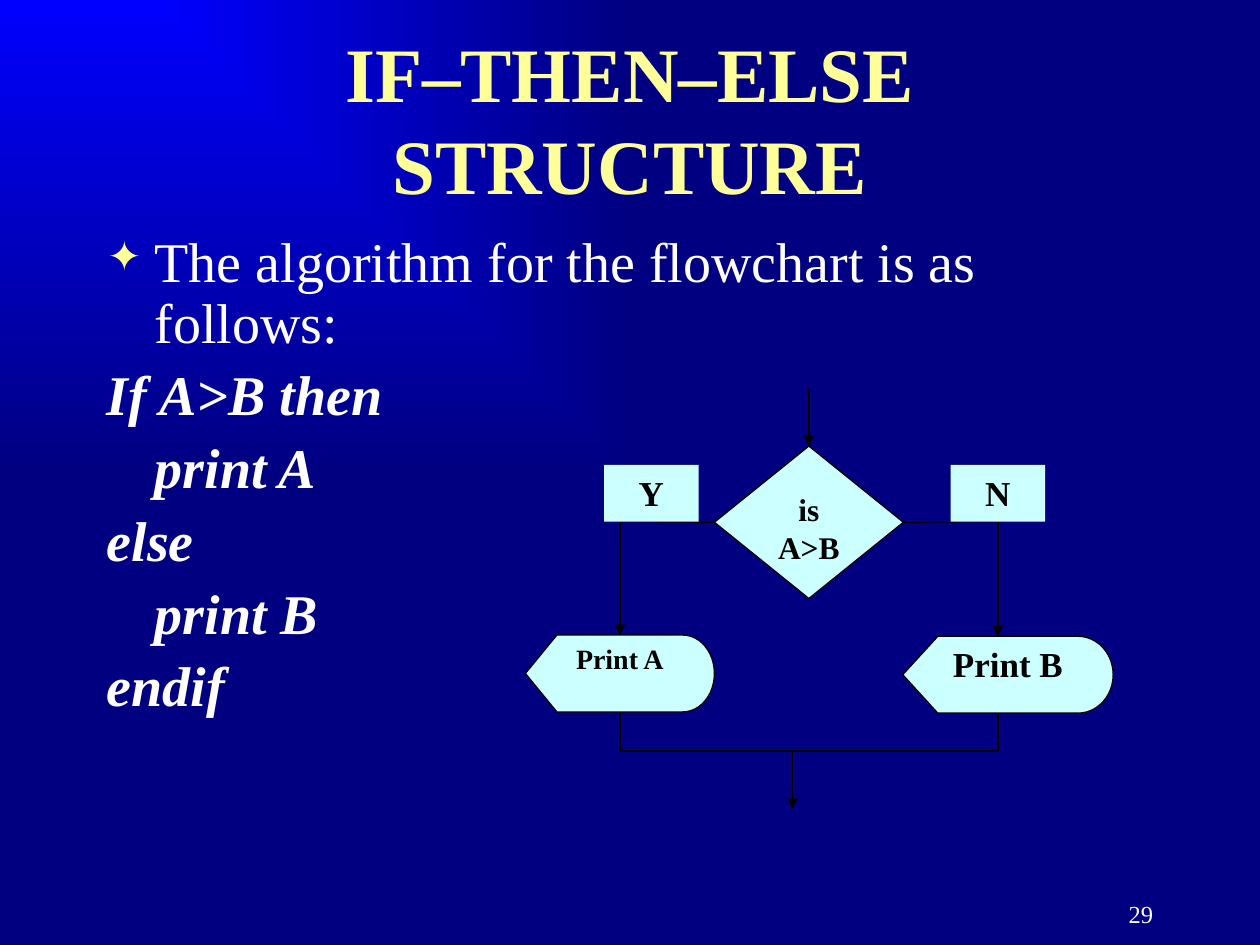
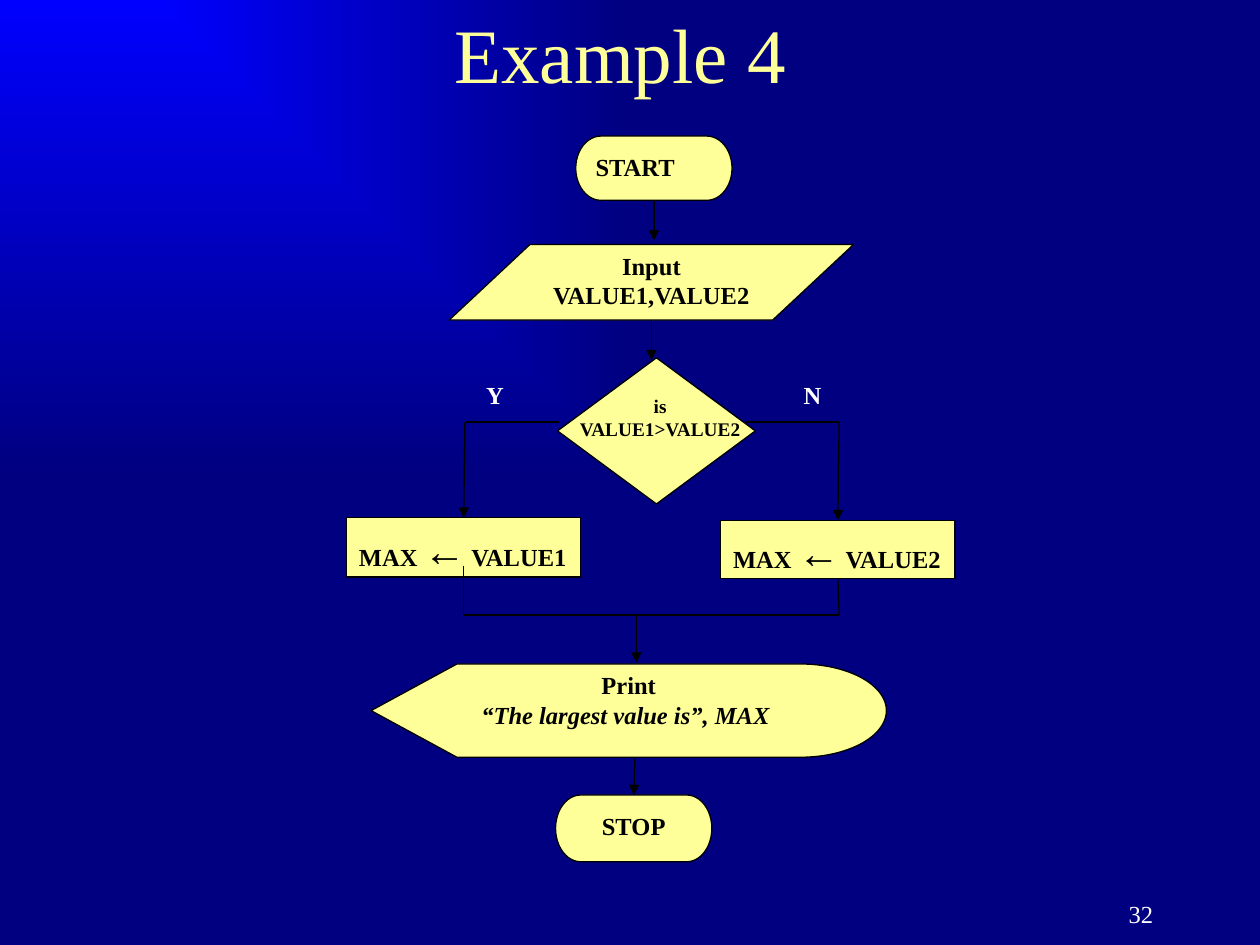
from lxml import etree
from pptx import Presentation
from pptx.dml.color import RGBColor
from pptx.enum.shapes import MSO_CONNECTOR, MSO_SHAPE
from pptx.enum.text import MSO_ANCHOR, PP_ALIGN
from pptx.oxml.ns import qn
from pptx.util import Inches, Pt

DECISION = MSO_SHAPE.FLOWCHART_DECISION
DISPLAY = MSO_SHAPE.FLOWCHART_DISPLAY
TERMINATOR = MSO_SHAPE.FLOWCHART_TERMINATOR
PROCESS = MSO_SHAPE.FLOWCHART_PROCESS
INPUT_OUTPUT = MSO_SHAPE.FLOWCHART_DATA
RECTANGLE = MSO_SHAPE.RECTANGLE
STRAIGHT = MSO_CONNECTOR.STRAIGHT
LEFT, CENTER, RIGHT = PP_ALIGN.LEFT, PP_ALIGN.CENTER, PP_ALIGN.RIGHT
TOP, MIDDLE = MSO_ANCHOR.TOP, MSO_ANCHOR.MIDDLE
SIDE_TOP, SIDE_LEFT, SIDE_BOTTOM, SIDE_RIGHT = range(4)

# Shared style
WIDTH, HEIGHT = 10, 7.5
MARGIN = 0.75
FONT = "Times New Roman"
BLUE, NAVY = "0000FF", "000080"
YELLOW, CYAN, WHITE, BLACK = "FFFF99", "CCFFFF", "FFFFFF", "000000"
BULLET, INDENT = "✦", 0.38

# Algorithm: (text, bulleted, indented, code)
ALGORITHM = [
    ("The algorithm for the flowchart is as follows:", True, False, False),
    ("If A>B then", False, False, True),
    ("print A", False, True, True),
    ("else", False, False, True),
    ("print B", False, True, True),
    ("endif", False, False, True),
]

# Flowchart columns and rows in inches
YES, TEST, NO = (4.92 + 1.5 * column for column in range(3))
BRANCH, MERGE = 4.14, 5.96
YES_2, NO_2 = 3.69, 6.66
BRANCH_2, MERGE_2 = 3.35, 4.88


def assignment(value):
    return [[("MAX ", {}), ("←", {"size": 24, "bold": False}), (" " + value, {})]]


# Nodes: name: (shape, centre, top, width, height, paragraphs, text format)
# Routes: (points, arrow); a point is (x, y) or (node name, side)
# Labels: (centre, top, width, height, paragraphs, text format, fill)
SLIDES = [
    {
        "title": "IF–THEN–ELSE STRUCTURE",
        "title_box": (0.31, 1.25),
        "title_bold": True,
        "algorithm": ALGORITHM,
        "number": "29",
        "fill": CYAN,
        "nodes": {
            "test": (DECISION, TEST, 3.54, 1.5, 1.21, ["is", "A>B"], {"size": 18}),
            "print B": (DISPLAY, 8, 5.05, 1.67, 0.61, ["Print B"], {"size": 20}),
            "print A": (DISPLAY, YES, 5.04, 1.5, 0.61, ["Print A"], {"size": 16}),
        },
        "routes": [
            ([(TEST, 3.08), ("test", SIDE_TOP)], True),
            ([("test", SIDE_RIGHT), (NO, BRANCH), (NO, 5.05)], True),
            ([("test", SIDE_LEFT), (YES, BRANCH), ("print A", SIDE_TOP)], True),
            ([("print A", SIDE_BOTTOM), (YES, MERGE), (NO, MERGE), (NO, 5.66)], False),
            ([(6.29, MERGE), (6.29, 6.42)], True),
        ],
        "labels": [
            (5.17, 3.69, 0.75, 0.45, ["Y"], {"size": 20}, CYAN),
            (7.92, 3.69, 0.75, 0.45, ["N"], {"size": 20}, CYAN),
        ],
    },
    {
        "title": "Example 4 ",
        "title_box": (0, 0.83),
        "title_bold": False,
        "algorithm": [],
        "number": "32",
        "fill": YELLOW,
        "nodes": {
            "start": (TERMINATOR, 5.19, 1.08, 1.24, 0.51, ["START"], {"align": LEFT}),
            "input": (INPUT_OUTPUT, 5.17, 1.94, 3.21, 0.6,
                      ["Input", "VALUE1,VALUE2"], {}),
            "test": (DECISION, 5.21, 2.84, 1.57, 1.16, [], {}),
            "first": (PROCESS, 3.68, 4.11, 1.86, 0.47,
                      assignment("VALUE1"), {"align": LEFT}),
            "second": (PROCESS, 6.65, 4.13, 1.86, 0.46,
                       assignment("VALUE2"), {"align": LEFT}),
            "print": (DISPLAY, 4.99, 5.27, 4.09, 0.74,
                      ["Print", [("“The largest value is”, MAX ", {"italic": True})]], {}),
            "stop": (TERMINATOR, 5.03, 6.31, 1.24, 0.53, ["STOP"], {}),
        },
        "routes": [
            ([("start", SIDE_BOTTOM), (5.19, 1.91)], True),
            ([(5.17, 2.55), (5.17, 2.86)], True),
            ([(5.91, BRANCH_2), (NO_2, BRANCH_2), ("second", SIDE_TOP)], True),
            ([(4.44, BRANCH_2), (YES_2, BRANCH_2), ("first", SIDE_TOP)], True),
            ([(3.68, 4.49), (3.68, MERGE_2), (NO_2, MERGE_2),
              ("second", SIDE_BOTTOM)], False),
            ([(5.05, MERGE_2), (5.05, 5.26)], True),
            ([(5.04, 6.01), ("stop", SIDE_TOP)], True),
        ],
        "labels": [
            (3.93, 2.97, 0.74, 0.38, ["Y"], {"color": WHITE}, None),
            (6.65, 2.97, 0.74, 0.38, ["N"], {"color": WHITE, "align": LEFT}, None),
            (5.24, 3.08, 2.36, 0.64, ["is", "VALUE1>VALUE2"], {"size": 11}, None),
        ],
    },
]


def rgb(value):
    return RGBColor.from_string(value)


def add_element(parent, tag, **attributes):
    return etree.SubElement(parent, qn(tag), attributes)


def write_text(shape, paragraphs, size=14, bold=True, italic=False, color=BLACK,
               align=CENTER, anchor=TOP):
    """Each paragraph is a string or a list of (text, run format) pairs."""
    frame = shape.text_frame
    frame.word_wrap = True
    frame.vertical_anchor = anchor
    for index, runs in enumerate(paragraphs):
        paragraph = frame.add_paragraph() if index else frame.paragraphs[0]
        paragraph.alignment = align
        for text, changes in [(runs, {})] if isinstance(runs, str) else runs:
            run = paragraph.add_run()
            run.text = text
            font = run.font
            font.name = FONT
            font.size = Pt(changes.get("size", size))
            font.bold = changes.get("bold", bold)
            font.italic = changes.get("italic", italic)
            font.color.rgb = rgb(color)
    return frame


def add_text(slide, left, top, width, height, paragraphs, **text_format):
    box = slide.shapes.add_textbox(*map(Inches, (left, top, width, height)))
    return write_text(box, paragraphs, **text_format)


def add_node(slide, kind, center, top, width, height, paragraphs, text_format,
             fill, outline=True):
    shape = slide.shapes.add_shape(
        kind, *map(Inches, (center - width / 2, top, width, height)))
    shape.shadow.inherit = False
    shape.fill.solid()
    shape.fill.fore_color.rgb = rgb(fill)
    if outline:
        shape.line.color.rgb = rgb(BLACK)
        shape.line.width = Pt(0.75)
    else:
        shape.line.fill.background()
    write_text(shape, paragraphs, **text_format)
    return shape


def add_route(slide, nodes, points, arrow):
    """Draw straight segments through the points, joined to named nodes."""
    last = len(points) - 2
    for index, (start, end) in enumerate(zip(points, points[1:])):
        # A joined end takes its place from the node
        spots = [(0, 0) if point[0] in nodes else point for point in (start, end)]
        connector = slide.shapes.add_connector(
            STRAIGHT, *(Inches(value) for spot in spots for value in spot))
        for point, connect in ((start, connector.begin_connect),
                               (end, connector.end_connect)):
            if point[0] in nodes:
                connect(nodes[point[0]], point[1])
        connector.line.color.rgb = rgb(BLACK)
        connector.line.width = Pt(0.75)
        properties = connector.element.spPr
        if arrow and index == last:
            add_element(properties.find(qn("a:ln")), "a:tailEnd", type="triangle")
        add_element(properties, "a:effectLst")


def add_algorithm(slide, steps):
    paragraphs = [[(text, {"bold": code, "italic": code})] for text, _, _, code in steps]
    frame = add_text(slide, MARGIN, 1.81, WIDTH - 2 * MARGIN, 4.5, paragraphs,
                     size=32, color=WHITE, align=LEFT)
    for index, (paragraph, step) in enumerate(zip(frame.paragraphs, steps)):
        _, bulleted, indented, _ = step
        paragraph.line_spacing = 0.9
        if index:
            paragraph.space_before = Pt(7)
        properties = paragraph._p.get_or_add_pPr()
        properties.set("marL", str(Inches(INDENT)))
        properties.set("indent", str(0 if indented else -Inches(INDENT)))
        if bulleted:
            color = add_element(properties, "a:buClr")
            add_element(color, "a:srgbClr", val=YELLOW)
            add_element(properties, "a:buSzPct", val="75000")
            add_element(properties, "a:buChar", char=BULLET)
        else:
            add_element(properties, "a:buNone")


def set_background(master):
    """Rectangular gradient that spreads from the top left corner."""
    fill = master.background.fill
    fill.gradient()
    for stop, color in zip(fill.gradient_stops, (BLUE, NAVY)):
        stop.color.rgb = rgb(color)
    linear = master.element.find(".//" + qn("a:lin"))
    gradient = linear.getparent()
    gradient.remove(linear)
    shade = add_element(gradient, "a:path", path="rect")
    add_element(shade, "a:fillToRect", r="100000", b="100000")


def build_slide(presentation, content):
    slide = presentation.slides.add_slide(presentation.slide_layouts[6])
    top, height = content["title_box"]
    add_text(slide, MARGIN, top, WIDTH - 2 * MARGIN, height, [content["title"]],
             size=44, bold=content["title_bold"], color=YELLOW, anchor=MIDDLE)
    if content["algorithm"]:
        add_algorithm(slide, content["algorithm"])

    # Flowchart
    nodes = {name: add_node(slide, *node, content["fill"])
             for name, node in content["nodes"].items()}
    for points, arrow in content["routes"]:
        add_route(slide, nodes, points, arrow)
    for center, top, width, height, paragraphs, text_format, fill in content["labels"]:
        if fill:
            add_node(slide, RECTANGLE, center, top, width, height, paragraphs,
                     text_format, fill, outline=False)
        else:
            add_text(slide, center - width / 2, top, width, height, paragraphs,
                     **text_format)

    # Slide number
    add_text(slide, 7.17, HEIGHT - 0.5, 2.08, 0.5, [content["number"]],
             bold=False, color=WHITE, align=RIGHT, anchor=MIDDLE)


def main():
    presentation = Presentation()
    presentation.slide_width = Inches(WIDTH)
    presentation.slide_height = Inches(HEIGHT)
    set_background(presentation.slide_master)
    for content in SLIDES:
        build_slide(presentation, content)
    presentation.save("out.pptx")


if __name__ == "__main__":
    main()
